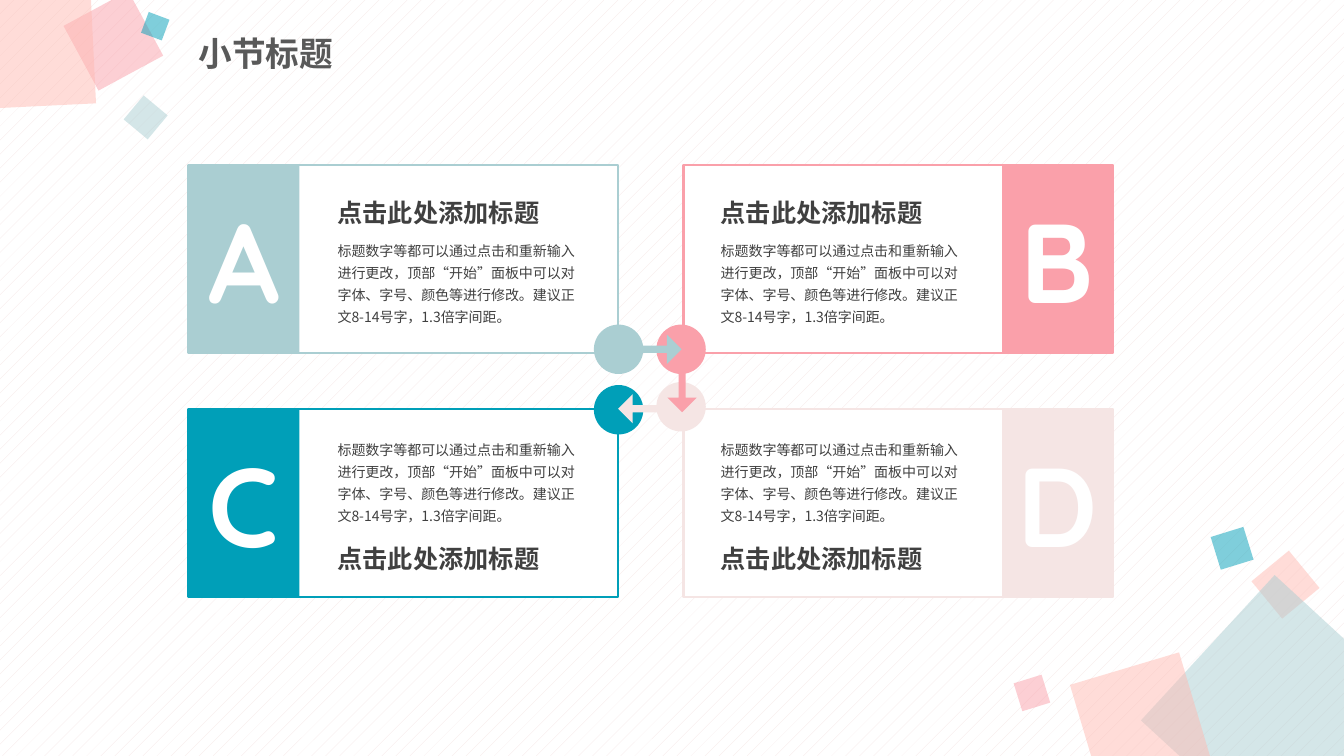
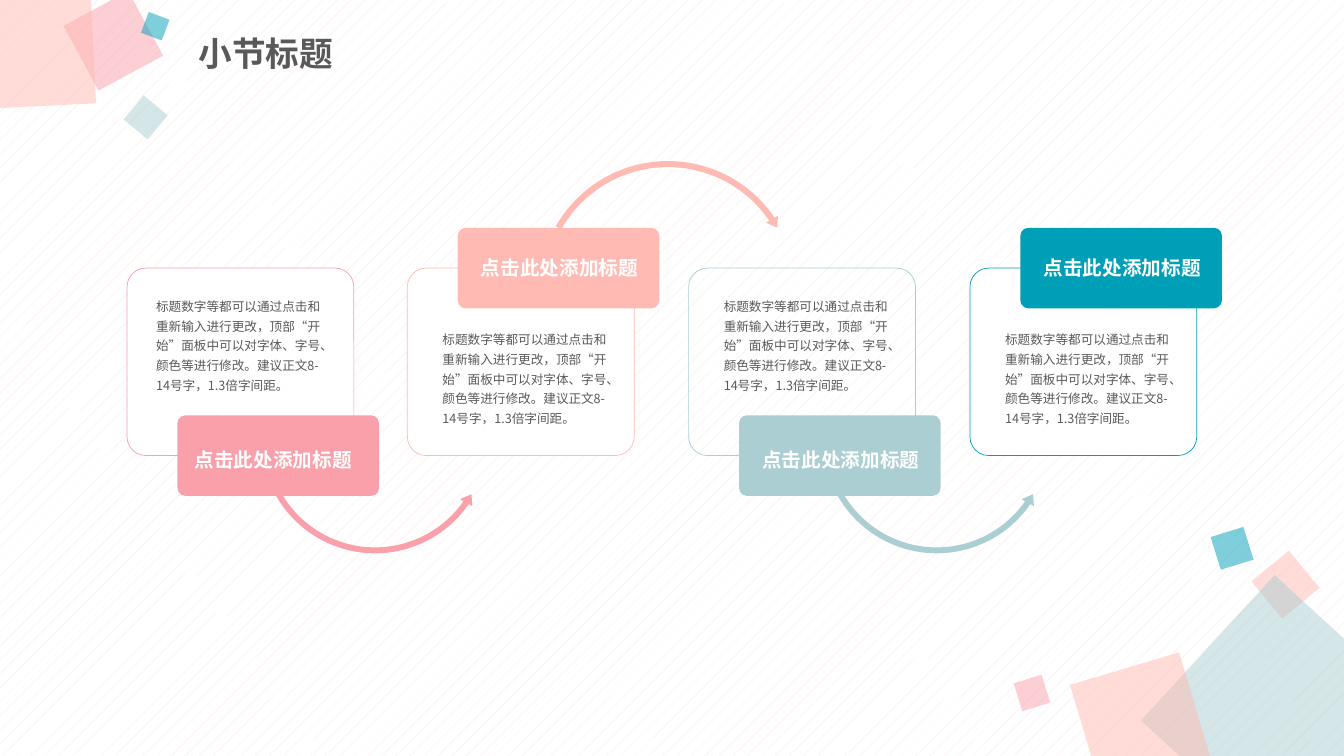
"""Build two process slides on a shared layout of scattered translucent squares."""
from lxml.etree import SubElement
from pptx import Presentation
from pptx.dml.color import RGBColor
from pptx.enum.dml import MSO_PATTERN
from pptx.enum.shapes import MSO_SHAPE as Preset
from pptx.enum.text import MSO_ANCHOR as Anchor, PP_ALIGN as Align
from pptx.oxml.ns import qn
from pptx.util import Emu, Pt

PX = 9144
WHITE = RGBColor(0xFF, 0xFF, 0xFF)
PINK = RGBColor(0xFA, 0xA0, 0xAA)
CORAL = RGBColor(0xFF, 0xBB, 0xB3)
SAGE = RGBColor(0xAA, 0xCE, 0xD2)
TEAL = RGBColor(0x00, 0x9F, 0xB8)
BLUSH = RGBColor(0xF5, 0xE5, 0xE4)
DARK = RGBColor(0x40, 0x40, 0x40)
GRAY = RGBColor(0x59, 0x59, 0x59)
CJK_FONT = "Noto Sans CJK SC"
LATIN_FONT = "Quicksand"

SECTION = "小节标题"
HEADING = "点击此处添加标题"
BODY = ("标题数字等都可以通过点击和重新输入进行更改，顶部“开始”面板中可以对字体、字号、"
        "颜色等进行修改。建议正文8-14号字，1.3倍字间距。")

SQUARES = [
    (1251, 556, 48, 320.6, CORAL),
    (1172, 611, 196, 42.6, SAGE),
    (1075, 661, 113, 343.4, CORAL),
    (1009, 673, 29, 342.8, PINK),
    (1205, 527, 34, 342.8, TEAL),
    (76, 4, 73, 331.6, PINK),
    (-46, -32, 138, 357.2, CORAL),
    (129, 101, 31, 309.8, SAGE),
    (143, 15, 22, 290.5, TEAL),
]
UPPER_ARC = (Preset.CIRCULAR_ARROW, 127, 156, 263,
             (0.023, 2.738, 195.507, 125.755, 0.026))
LOWER_ARC = (Preset.LEFT_CIRCULAR_ARROW, 129, 319, 234,
             (0.025, 3.094, 20.849, 90.245, 0.03))


def px(*lengths):
    return [Emu(length * PX) for length in lengths]


def add_block(slide, preset, box, fill=None, line=None, line_width=1.5,
              opacity=100, rotation=0, adjustments=()):
    block = slide.shapes.add_shape(preset, *px(*box))
    block.shadow.inherit = False
    block.rotation = rotation
    for index, value in enumerate(adjustments):
        block.adjustments[index] = value
    if fill is None:
        block.fill.background()
    else:
        block.fill.solid()
        block.fill.fore_color.rgb = fill
        if opacity < 100:
            color = block.fill._xPr.find(".//" + qn("a:srgbClr"))
            SubElement(color, qn("a:alpha"), val=str(opacity * 1000))
    if line is None:
        block.line.fill.background()
    else:
        block.line.color.rgb = line
        block.line.width = Pt(line_width)
    return block


def write(frame, text, size, color, font=CJK_FONT, bold=False,
          align=Align.LEFT, spacing=1.3):
    frame.text = text
    paragraph = frame.paragraphs[0]
    paragraph.alignment = align
    paragraph.line_spacing = spacing
    style = paragraph.font
    style.size, style.bold, style.name = Pt(size), bold, font
    style.color.rgb = color
    SubElement(style._rPr, qn("a:ea"), typeface=CJK_FONT)


def add_text(slide, box, text, size, color, **style):
    frame = slide.shapes.add_textbox(*px(*box)).text_frame
    frame.word_wrap = True
    write(frame, text, size, color, **style)


def add_section_slide(prs, layout):
    slide = prs.slides.add_slide(layout)
    frame = slide.shapes.title.text_frame
    frame.vertical_anchor = Anchor.MIDDLE
    write(frame, SECTION, 24, GRAY, bold=True, spacing=0.9)
    return slide


def decorate_layout(prs, layout, slide):
    """Put the shared pattern and squares behind every slide of the layout."""
    pattern = prs.slide_master.background.fill
    pattern.patterned()
    pattern.pattern = MSO_PATTERN.PERCENT_5
    pattern.fore_color.rgb, pattern.back_color.rgb = BLUSH, WHITE
    for left, top, side, rotation, color in SQUARES:
        square = add_block(slide, Preset.RECTANGLE, (left, top, side, side),
                           color, opacity=50, rotation=rotation)
        layout.shapes._spTree.append(square._element)


def add_letter_card(slide, letter, color, right, lower, dot_top):
    left, top = (678 if right else 187), (406 if lower else 164)
    add_block(slide, Preset.RECTANGLE, (left, top, 426, 186), WHITE, color)
    tab_left = left + 316 if right else left
    tab = add_block(slide, Preset.RECTANGLE, (tab_left, top, 110, 186), color)
    tab.text_frame.word_wrap = False
    tab.text_frame.vertical_anchor = Anchor.MIDDLE
    write(tab.text_frame, letter, 80, WHITE, font=LATIN_FONT, bold=True,
          align=Align.CENTER, spacing=1.0)
    text_left = left + (27 if right else 138)
    body_top, heading_top = (22, 119) if lower else (67, 18)
    add_text(slide, (text_left, top + body_top, 260, 98), BODY, 10, DARK)
    add_text(slide, (text_left, top + heading_top, 260, 49), HEADING, 18, DARK,
             font=LATIN_FONT, bold=True)
    dot_left = 651 if right else 589
    add_block(slide, Preset.OVAL, (dot_left, dot_top, 49, 49), color)


def add_step(slide, left, color, raised, arc, opacity):
    add_block(slide, Preset.ROUNDED_RECTANGLE, (left, 266, 225, 186),
              WHITE if opacity else None, color, 0.5, opacity,
              adjustments=(0.1,))
    if arc:
        preset, offset, top, side, adjustments = arc
        add_block(slide, preset, (left + offset, top, side, side), color,
                  adjustments=adjustments)
    add_block(slide, Preset.ROUNDED_RECTANGLE,
              (left + 50, 226 if raised else 412, 200, 80), color,
              adjustments=(0.1,))


def add_step_text(slide, left, raised):
    body_top, heading_top = (320, 242) if raised else (287, 432)
    add_text(slide, (left, body_top, 188, 109), BODY, 9, GRAY)
    add_text(slide, (left + 32, heading_top, 188, 41), HEADING, 14, WHITE,
             font=LATIN_FONT, bold=True, align=Align.CENTER)


def build_letter_cards(slide):
    add_letter_card(slide, "A", SAGE, False, False, 322)
    add_letter_card(slide, "B", PINK, True, False, 322)
    add_letter_card(slide, "C", TEAL, False, True, 382)
    add_letter_card(slide, "D", BLUSH, True, True, 379)
    arrows = [(629, 332, SAGE), (653, 371, PINK), (613, 391, BLUSH)]
    for turn, (left, top, color) in enumerate(arrows):
        add_block(slide, Preset.RIGHT_ARROW, (left, top, 47, 29), color,
                  rotation=90 * turn, adjustments=(0.244, 0.5))


def build_steps(slide):
    steps = [
        (PINK, False, LOWER_ARC, 90, 145),
        (CORAL, True, UPPER_ARC, 90, 429),
        (SAGE, False, LOWER_ARC, 0, 708),
        (TEAL, True, None, 90, 987),
    ]
    for index, (color, raised, arc, opacity, _) in enumerate(steps):
        add_step(slide, 126 + 836 * index // 3, color, raised, arc, opacity)
    for _, raised, _, _, text_left in steps:
        add_step_text(slide, text_left, raised)


def main():
    prs = Presentation()
    prs.slide_width, prs.slide_height = px(1333, 750)
    layout = prs.slide_layouts[5]
    title = layout.placeholders[0]
    title.left, title.top, title.width, title.height = px(187, 26, 613, 58)
    cards = add_section_slide(prs, layout)
    decorate_layout(prs, layout, cards)
    build_letter_cards(cards)
    build_steps(add_section_slide(prs, layout))
    prs.save("out.pptx")


if __name__ == "__main__":
    main()
